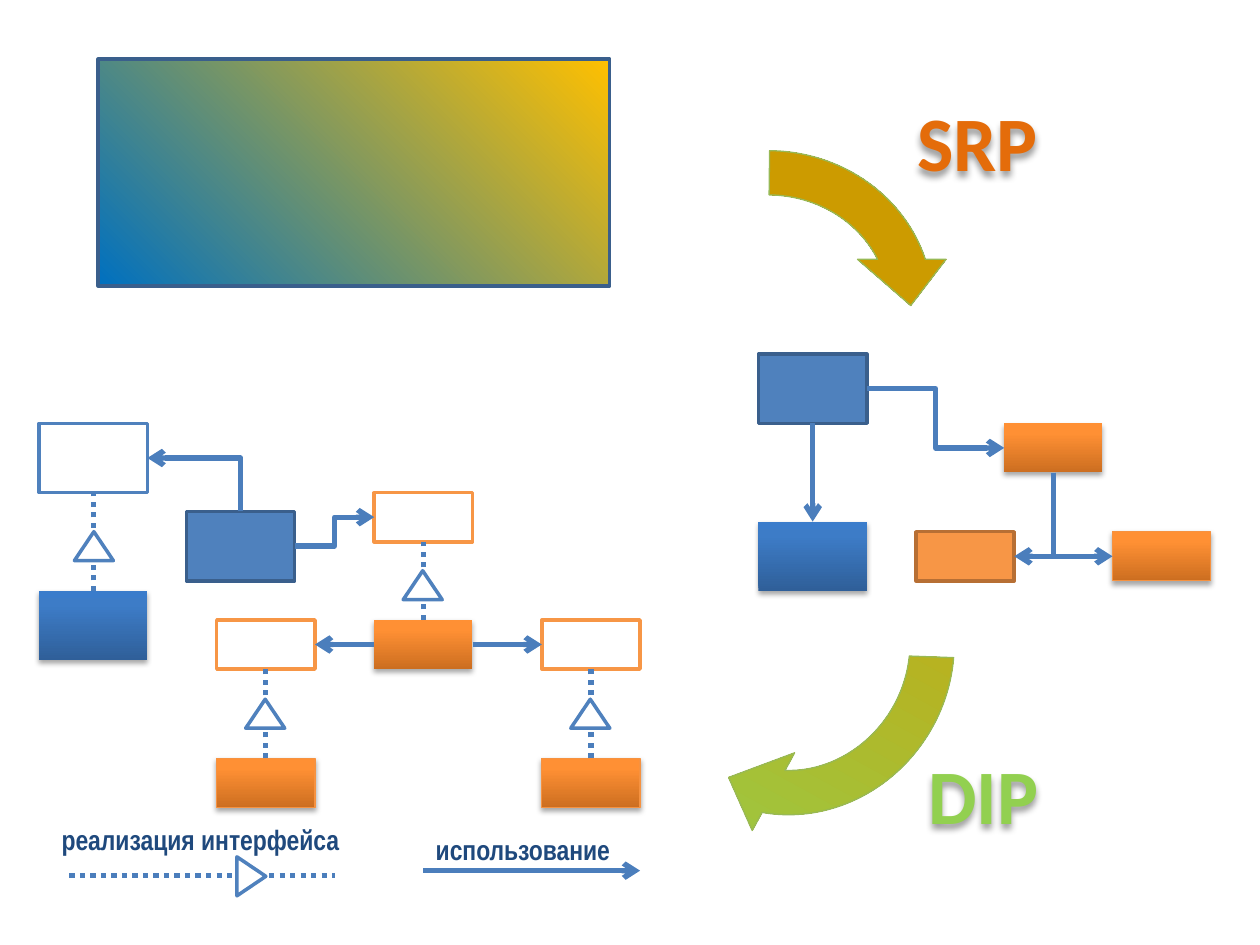
from pptx import Presentation
from pptx import util as u
from pptx.dml import color
from pptx.enum import dml, shapes, text
from pptx.oxml import parse_xml
from pptx.oxml import ns

THEME = {
    "white": "FFFFFF",
    "blue": "4F81BD",
    "blue_edge": "3A5F8C",
    "blue_gradient": [(0, "2F5F99"), (80, "3D7CC7"), (100, "3A7CCB")],
    "orange": "F79646",
    "orange_edge": "B76F34",
    "orange_rim": "F69240",
    "orange_gradient": [(0, "CC6E20"), (80, "FF9034"), (100, "FF9136")],
    "mixed_gradient": [(0, "0070C0"), (100, "FFC000")],
    "srp_gradient": [(0, "953735"), (47, "CC9B00")],
    "dip_gradient": [(0, "D09E00"), (100, "92D050")],
    "arrow_edge": "98B955",
    "link": "4B7EBC",
    "legend": "1F497D",
    "srp": "E46C0A",
    "dip": "92D050",
    "legend_size": 16,
    "principle_size": 44,
}
BOX_SHADOW = (3.1, 1.8, 90, 35)
TEXT_SHADOW = (4, 3.1, 91, 38)


def paint(shape, fill=None, angle=0, edge=None, weight=2, shadow=None):
    shape.shadow.inherit = False
    properties = shape._element.spPr
    if fill is None:
        shape.fill.background()
    elif isinstance(fill, str):
        shape.fill.solid()
        shape.fill.fore_color.rgb = color.RGBColor.from_string(fill)
    else:
        shape.fill.gradient()
        shape.fill.gradient_angle = (360 - angle) % 360
        stops = properties.find(".//" + ns.qn("a:gsLst"))
        for stop in list(stops):
            stops.remove(stop)
        for position, shade in fill:
            stops.append(parse_xml(
                f'<a:gs {ns.nsdecls("a")} pos="{position * 1000}">'
                f'<a:srgbClr val="{shade}"/></a:gs>'))
    if edge:
        shape.line.color.rgb = color.RGBColor.from_string(edge)
        shape.line.width = u.Pt(weight)
    else:
        shape.line.fill.background()
    if shadow:
        blur, distance, direction, opacity = shadow
        properties.find(ns.qn("a:effectLst")).append(parse_xml(
            f'<a:outerShdw {ns.nsdecls("a")} blurRad="{u.Pt(blur)}" dist="{u.Pt(distance)}" '
            f'dir="{direction * 60000}" rotWithShape="0"><a:srgbClr val="000000">'
            f'<a:alpha val="{opacity * 1000}"/></a:srgbClr></a:outerShdw>'))


def add_text(words, *, left, top, width, height, size, font, shade, shadow=None):
    box = page.shapes.add_textbox(u.Inches(left), u.Inches(top), u.Inches(width), u.Inches(height))
    paint(box, shadow=shadow)
    box.text_frame.word_wrap = False
    box.text_frame.auto_size = text.MSO_AUTO_SIZE.SHAPE_TO_FIT_TEXT
    para = box.text_frame.paragraphs[0]
    span = para.add_run()
    span.text = words
    span.font.size = u.Pt(size)
    span.font.name = font
    span.font.bold = True
    span.font.color.rgb = color.RGBColor.from_string(shade)


deck = Presentation()
deck.slide_width, deck.slide_height = u.Inches(10), u.Inches(7.5)
page = deck.slides.add_slide(deck.slide_layouts[6])

BIG, SMALL = (0.86, 0.55), (0.78, 0.39)
STYLES = {
    "mixed": ((4.06, 1.8), dict(fill=THEME["mixed_gradient"], angle=315, edge=THEME["blue_edge"])),
    "client": (BIG, dict(fill=THEME["blue"], edge=THEME["blue_edge"])),
    "blue": (BIG, dict(fill=THEME["blue_gradient"], angle=270, shadow=BOX_SHADOW)),
    "blue_interface": (BIG, dict(fill=THEME["white"], edge=THEME["blue"])),
    "flat": (SMALL, dict(fill=THEME["orange"], edge=THEME["orange_edge"])),
    "orange": (SMALL, dict(fill=THEME["orange_gradient"], angle=270, shadow=BOX_SHADOW)),
    "rimmed": (SMALL, dict(fill=THEME["orange_gradient"], angle=270, shadow=BOX_SHADOW,
                           edge=THEME["orange_rim"], weight=0.75)),
    "orange_interface": (SMALL, dict(fill=THEME["white"], edge=THEME["orange"])),
}
boxes = {}
for name, style, left, top in [
    ("monolith", "mixed", 0.78, 0.47),
    ("srp client", "client", 6.02, 2.81),
    ("srp service", "orange", 7.97, 3.36),
    ("srp left part", "flat", 7.27, 4.22),
    ("srp helper", "blue", 6.02, 4.14),
    ("srp right part", "rimmed", 8.83, 4.22),
    ("dip client", "client", 1.48, 4.06),
    ("service", "orange", 2.97, 4.92),
    ("helper", "blue", 0.31, 4.69),
    ("right part", "rimmed", 4.3, 6.02),
    ("left part", "rimmed", 1.72, 6.02),
    ("helper interface", "blue_interface", 0.31, 3.36),
    ("service interface", "orange_interface", 2.97, 3.91),
    ("right interface", "orange_interface", 4.3, 4.92),
    ("left interface", "orange_interface", 1.72, 4.92),
]:
    (width, height), look = STYLES[style]
    boxes[name] = page.shapes.add_shape(
        shapes.MSO_SHAPE.RECTANGLE, u.Inches(left), u.Inches(top), u.Inches(width), u.Inches(height))
    paint(boxes[name], **look)

TOP, LEFT, BOTTOM, RIGHT = range(4)
STRAIGHT, ELBOW = shapes.MSO_CONNECTOR.STRAIGHT, shapes.MSO_CONNECTOR.ELBOW
links = []
for kind, start, start_side, end, end_side in [
    ("elbow", "srp client", RIGHT, "srp service", LEFT),
    ("straight", "srp client", BOTTOM, "srp helper", TOP),
    ("corner", "srp service", BOTTOM, "srp left part", RIGHT),
    ("corner", "srp service", BOTTOM, "srp right part", LEFT),
    ("elbow", "dip client", RIGHT, "service interface", LEFT),
    ("corner", "dip client", TOP, "helper interface", RIGHT),
    ("straight", "service", LEFT, "left interface", RIGHT),
    ("straight", "service", RIGHT, "right interface", LEFT),
    ("dotted", "helper", TOP, "helper interface", BOTTOM),
    ("dotted", "service", TOP, "service interface", BOTTOM),
    ("dotted", "right part", TOP, "right interface", BOTTOM),
    ("dotted", "left part", TOP, "left interface", BOTTOM),
]:
    link = page.shapes.add_connector(ELBOW if kind in ("elbow", "corner") else STRAIGHT, 0, 0, 0, 0)
    link.begin_connect(boxes[start], start_side)
    link.end_connect(boxes[end], end_side)
    if kind == "corner":
        across, down = link.end_x - link.begin_x, link.end_y - link.begin_y
        middle_x, middle_y = link.begin_x + across // 2, link.begin_y + down // 2
        turn = 90 if across < 0 < down else 270
        sign = 1 if turn == 90 else -1
        link.begin_x, link.begin_y = middle_x - sign * down // 2, middle_y + sign * across // 2
        link.end_x, link.end_y = middle_x + sign * down // 2, middle_y - sign * across // 2
        link._element.spPr.find(ns.qn("a:xfrm")).set("rot", str(turn * 60000))
        link._element.spPr.find(ns.qn("a:prstGeom")).set("prst", "bentConnector2")
    links.append((link, kind))

for kind, left, right, level in [("dotted", 0.55, 2.66, 6.95), ("straight", 3.36, 5.08, 6.91)]:
    link = page.shapes.add_connector(
        STRAIGHT, u.Inches(left), u.Inches(level), u.Inches(right), u.Inches(level))
    links.append((link, kind))

for link, kind in links:
    link.line.color.rgb = color.RGBColor.from_string(THEME["link"])
    link.line.width = u.Pt(3)
    properties = link._element.spPr
    if kind == "dotted":
        link.line.dash_style = dml.MSO_LINE.ROUND_DOT
    else:
        properties.find(ns.qn("a:ln")).append(
            parse_xml(f'<a:tailEnd {ns.nsdecls("a")} type="arrow"/>'))
    properties.append(parse_xml(f'<a:effectLst {ns.nsdecls("a")}/>'))

for left, top, turn in [(3.2, 4.53, 0), (4.53, 5.55, 0), (1.95, 5.55, 0), (0.59, 4.22, 0), (1.84, 6.84, 90)]:
    triangle = page.shapes.add_shape(
        shapes.MSO_SHAPE.ISOSCELES_TRIANGLE, u.Inches(left), u.Inches(top), u.Inches(0.31), u.Inches(0.23))
    triangle.rotation = turn
    paint(triangle, fill=THEME["white"], edge=THEME["blue"])

for left, top, turn, tail, gradient in [
    (4.61, 1.02, 0, 162.38, "srp_gradient"),
    (4.84, 3.77, 118.6, 146.07, "dip_gradient"),
]:
    arrow = page.shapes.add_shape(
        shapes.MSO_SHAPE.CIRCULAR_ARROW, u.Inches(left), u.Inches(top), u.Inches(2.97), u.Inches(2.81))
    arrow.rotation = turn
    for index, value in enumerate([0.125, 11.42, 204.58, tail, 0.125]):
        arrow.adjustments[index] = value
    paint(arrow, fill=THEME[gradient], edge=THEME["arrow_edge"], weight=0.75)

for words, left, top, width in [
    ("реализация интерфейса", 0.39, 6.48, 2.43),
    ("использование", 3.36, 6.56, 1.62),
]:
    add_text(words, left=left, top=top, width=width, height=0.37,
             size=THEME["legend_size"], font="Arial Narrow", shade=THEME["legend"])
for words, left, top, width in [("SRP", 7.18, 0.7, 1.17), ("DIP", 7.27, 5.88, 1.08)]:
    add_text(words, left=left, top=top, width=width, height=0.84, size=THEME["principle_size"],
             font="Calibri", shade=THEME[words.lower()], shadow=TEXT_SHADOW)

deck.save("out.pptx")
